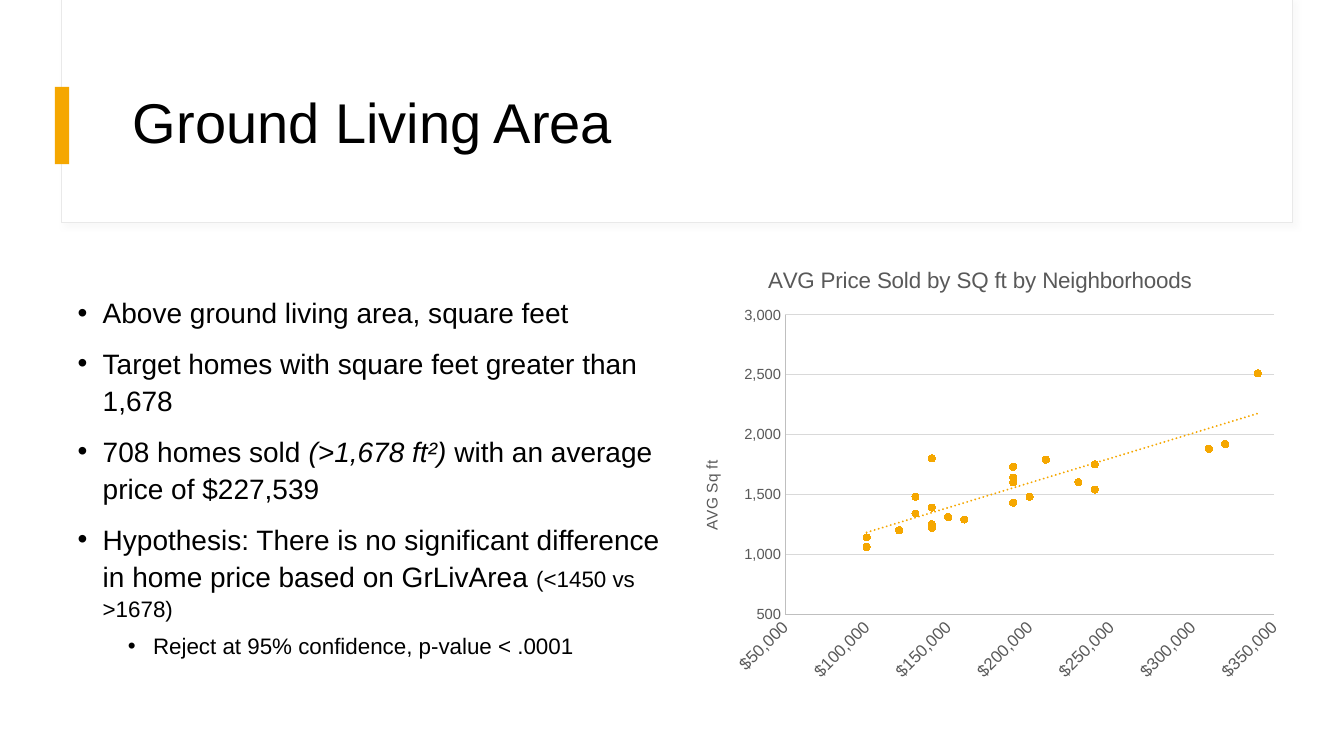
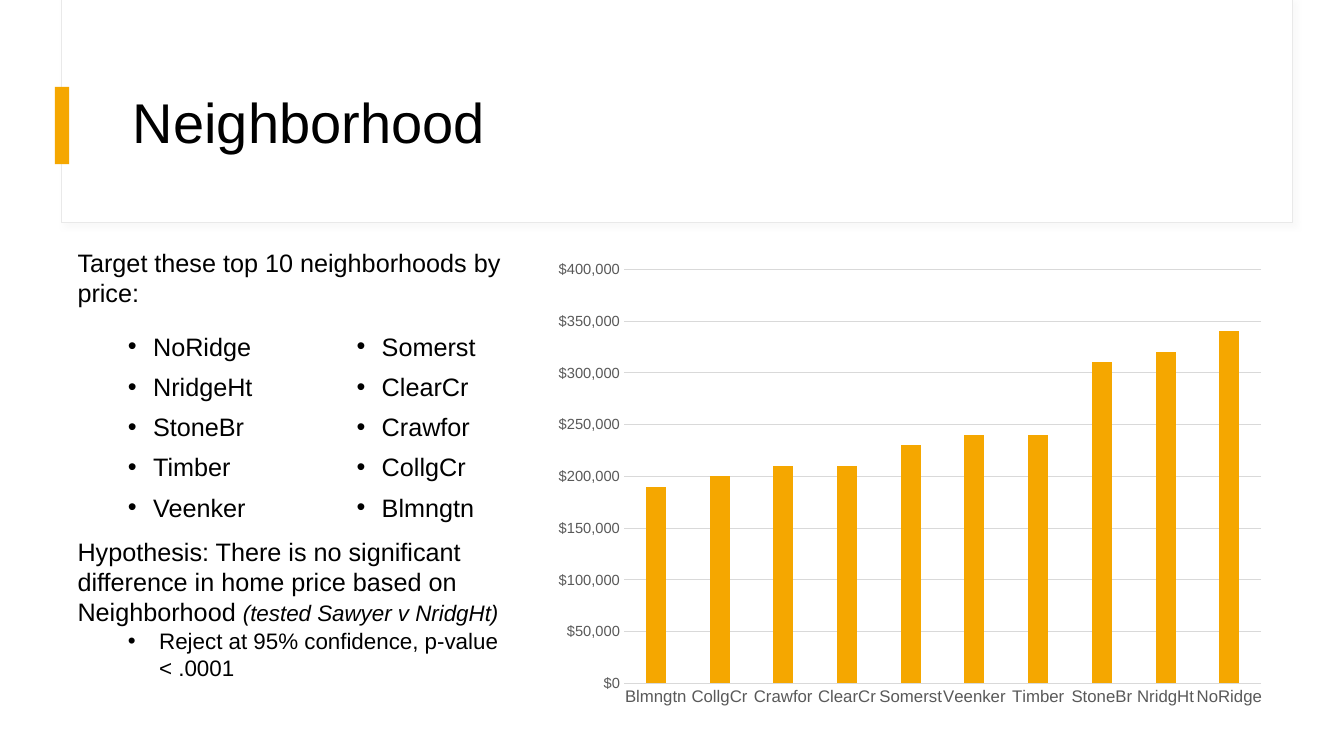
from dataclasses import dataclass

from lxml.etree import SubElement
from pptx import Presentation
from pptx.chart.data import CategoryChartData, XyChartData
from pptx.dml.color import RGBColor
from pptx.enum.chart import XL_CHART_TYPE as ChartType
from pptx.enum.chart import XL_MARKER_STYLE as MarkerStyle
from pptx.enum.chart import XL_TICK_MARK as TickMark
from pptx.enum.shapes import MSO_SHAPE as ShapeKind
from pptx.enum.text import MSO_ANCHOR as Anchor
from pptx.oxml import parse_xml
from pptx.oxml.ns import nsdecls, qn
from pptx.util import Inches, Pt

COLUMNS, ROWS = 160, 90
DOLLARS = '"$"#,##0'


@dataclass(frozen=True)
class Theme:
    font: str = "Arial"
    ink: str = "000000"
    paper: str = "FFFFFF"
    accent: str = "F5A700"
    muted: str = "595959"
    edge: str = "E9E9E9"
    grid: str = "D9D9D9"
    axis: str = "BFBFBF"
    title: float = 40
    body: float = 20
    text: float = 18
    small: float = 16
    category: float = 12
    axis_title: float = 11
    value: float = 10.5
    hairline: float = 0.75


BULLET = {"indent": 0.25, "hanging": 0.25, "format": {"line_spacing": 1.1, "space_before": Pt(10)}}
SUB_BULLET = {"indent": 0.75, "hanging": 0.25, "format": {"line_spacing": 1.1, "space_before": Pt(5)}}
TIGHT_BULLET = {"indent": 0.81, "hanging": 0.31}


def apply(target, values):
    for name, value in values.items():
        setattr(target, name, value)


def manual_layout(shares, target=""):
    sizes = "".join(f'<c:{name} val="{value}"/>' for name, value in zip("xywh", shares))
    return parse_xml(
        f'<c:layout {nsdecls("c")}><c:manualLayout>{target}<c:xMode val="edge"/>'
        f'<c:yMode val="edge"/>{sizes}</c:manualLayout></c:layout>')


class Deck:
    def __init__(self, theme):
        self.theme = theme
        self.presentation = Presentation()
        apply(self.presentation, {"slide_width": Inches(13.333), "slide_height": Inches(7.5)})
        self.slide = None

    def place(self, left, top, width, height):
        across = self.presentation.slide_width / COLUMNS
        down = self.presentation.slide_height / ROWS
        return [int(left * across), int(top * down), int(width * across), int(height * down)]

    def new_slide(self, title):
        self.slide = self.presentation.slides.add_slide(self.presentation.slide_layouts[6])
        band = self.rectangle((7.33, -0.1, 146.5, 26.6), self.theme.paper, self.theme.edge)
        self.soft_shadow(band)
        self.rectangle((6.55, 10.35, 1.7, 9.2), self.theme.accent)
        heading = [({"format": {"line_spacing": 0.9}}, [(title, {})])]
        self.text((14.65, 7.2, 133.5, 15.5), heading, self.theme.title, Anchor.MIDDLE)

    def rectangle(self, area, fill, line=None):
        shape = self.slide.shapes.add_shape(ShapeKind.RECTANGLE, *self.place(*area))
        shape.shadow.inherit = False
        shape.fill.solid()
        shape.fill.fore_color.rgb = RGBColor.from_string(fill)
        self.stroke(shape.line, line)
        return shape

    def stroke(self, line, color):
        if color is None:
            line.fill.background()
            return
        line.color.rgb = RGBColor.from_string(color)
        line.width = Pt(self.theme.hairline)

    def soft_shadow(self, shape):
        effects = shape._element.spPr.find(qn("a:effectLst"))
        shadow = SubElement(effects, qn("a:outerShdw"), blurRad=str(Pt(4)), dist=str(Pt(3)),
                            dir="2700000", algn="tl", rotWithShape="0")
        color = SubElement(shadow, qn("a:srgbClr"), val=self.theme.grid)
        SubElement(color, qn("a:alpha"), val="15000")

    def style_font(self, font, size, color, **extra):
        apply(font, {"name": self.theme.font, "size": Pt(size), "bold": False, **extra})
        font.color.rgb = RGBColor.from_string(color)

    def text(self, area, paragraphs, size, anchor=Anchor.TOP, columns=1):
        frame = self.slide.shapes.add_textbox(*self.place(*area)).text_frame
        apply(frame, {"word_wrap": True, "vertical_anchor": anchor})
        if columns > 1:
            frame._txBody.bodyPr.set("numCol", str(columns))
        for index, (style, runs) in enumerate(paragraphs):
            paragraph = frame.add_paragraph() if index else frame.paragraphs[0]
            if "indent" in style:
                self.bullet(paragraph, style)
            apply(paragraph, style.get("format", {}))
            if index == 0:
                paragraph.space_before = Pt(0)
            for words, extra in runs:
                run = paragraph.add_run()
                run.text = words
                options = {"size": size, "color": self.theme.ink, **extra}
                self.style_font(run.font, **options)

    def bullet(self, paragraph, style):
        properties = paragraph._p.get_or_add_pPr()
        properties.set("marL", str(Inches(style["indent"])))
        properties.set("indent", str(-Inches(style["hanging"])))
        SubElement(properties, qn("a:buFont"), typeface=self.theme.font)
        SubElement(properties, qn("a:buChar"), char="•")

    def chart(self, kind, area, data, plot_area):
        chart = self.slide.shapes.add_chart(kind, *self.place(*area), data).chart
        self.style_font(chart.font, 10, self.theme.ink)
        apply(chart, {"has_legend": False, "has_title": False})
        chart.plots[0].vary_by_categories = False
        plot = chart._chartSpace.find(".//" + qn("c:plotArea"))
        for old in plot.findall(qn("c:layout")):
            plot.remove(old)
        plot.insert(0, manual_layout(plot_area, '<c:layoutTarget val="inner"/>'))
        return chart

    def style_axis(self, axis, size, line, number_format, gridlines, scale, rotation=None):
        apply(axis, {"major_tick_mark": TickMark.NONE, "minor_tick_mark": TickMark.NONE,
                     "has_major_gridlines": gridlines, **scale})
        if gridlines:
            self.stroke(axis.major_gridlines.format.line, self.theme.grid)
        self.stroke(axis.format.line, line)
        self.style_font(axis.tick_labels.font, size, self.theme.muted)
        if number_format:
            apply(axis.tick_labels, {"number_format": number_format, "number_format_is_linked": False})
        if rotation is not None:
            body = axis._element.find(qn("c:txPr")).find(qn("a:bodyPr"))
            body.set("rot", str(rotation * 60000))
            body.set("vert", "horz")

    def chart_label(self, frame, words, size):
        frame.text = words
        self.style_font(frame.paragraphs[0].runs[0].font, size, self.theme.muted)

    def scatter_chart(self, area, title, value_title, points, plot_area):
        data = XyChartData()
        series_data = data.add_series("Series 1")
        for price, square_feet in points:
            series_data.add_data_point(price * 1000, square_feet)
        chart = self.chart(ChartType.XY_SCATTER, area, data, plot_area)
        chart.has_title = True
        self.chart_label(chart.chart_title.text_frame, title, self.theme.small)
        chart.chart_title.include_in_layout = False
        self.style_axis(chart.category_axis, self.theme.category, self.theme.axis, DOLLARS, False,
                        {"minimum_scale": 50000, "maximum_scale": 350000, "major_unit": 50000}, -45)
        self.style_axis(chart.value_axis, self.theme.value, self.theme.axis, "#,##0", True,
                        {"minimum_scale": 500, "maximum_scale": 3000, "major_unit": 500})
        axis_title = chart.value_axis.axis_title
        self.chart_label(axis_title.text_frame, value_title, self.theme.axis_title)
        for old in axis_title._element.findall(qn("c:layout")):
            axis_title._element.remove(old)
        axis_title._element.find(qn("c:tx")).addnext(manual_layout((0.04, 0.47)))
        series = chart.plots[0].series[0]
        series.format.line.fill.background()
        apply(series.marker, {"style": MarkerStyle.CIRCLE, "size": 5})
        series.marker.format.fill.solid()
        series.marker.format.fill.fore_color.rgb = RGBColor.from_string(self.theme.accent)
        self.stroke(series.marker.format.line, self.theme.accent)
        self.trend_line(series)

    def trend_line(self, series):
        trend = parse_xml(
            f'<c:trendline {nsdecls("c", "a")}><c:spPr><a:ln w="{Pt(1.5)}" cap="rnd"><a:solidFill>'
            f'<a:srgbClr val="{self.theme.accent}"/></a:solidFill><a:prstDash val="sysDot"/></a:ln>'
            '</c:spPr><c:trendlineType val="linear"/><c:dispRSqr val="0"/><c:dispEq val="0"/>'
            '</c:trendline>')
        series._element.find(qn("c:xVal")).addprevious(trend)

    def column_chart(self, area, prices, plot_area):
        data = CategoryChartData()
        data.categories = list(prices)
        data.add_series("Series 1", [price * 1000 for price in prices.values()])
        chart = self.chart(ChartType.COLUMN_CLUSTERED, area, data, plot_area)
        apply(chart.plots[0], {"gap_width": 219, "overlap": -27})
        fill = chart.plots[0].series[0].format.fill
        fill.solid()
        fill.fore_color.rgb = RGBColor.from_string(self.theme.accent)
        self.style_axis(chart.category_axis, self.theme.category, self.theme.grid, None, False, {}, -1000)
        self.style_axis(chart.value_axis, self.theme.value, None, DOLLARS, True,
                        {"minimum_scale": 0, "maximum_scale": 400000, "major_unit": 50000})


POINTS = [
    (190, 1430), (140, 1390), (100, 1140), (120, 1200), (210, 1790),
    (200, 1480), (210, 1790), (130, 1340), (190, 1640), (100, 1140),
    (100, 1060), (160, 1290), (150, 1310), (340, 2510), (140, 1250),
    (320, 1920), (190, 1730), (130, 1480), (140, 1220), (190, 1600),
    (230, 1600), (310, 1880), (140, 1800), (240, 1750), (240, 1540),
]
PRICES = {
    "Blmngtn": 190, "CollgCr": 200, "Crawfor": 210, "ClearCr": 210, "Somerst": 230,
    "Veenker": 240, "Timber": 240, "StoneBr": 310, "NridgHt": 320, "NoRidge": 340,
}
TOP_NEIGHBORHOODS = ["NoRidge", "NridgeHt", "StoneBr", "Timber", "Veenker",
                     "Somerst", "ClearCr", "Crawfor", "CollgCr", "Blmngtn"]
VERDICT = "Reject at 95% confidence, p-value < .0001"


def living_area_slide(deck):
    small = {"size": deck.theme.small}
    deck.new_slide("Ground Living Area")
    deck.text((8.05, 34.2, 72, 48.6), [
        (BULLET, [("Above ground living area, square feet", {})]),
        (BULLET, [("Target homes with square feet greater than 1,678", {})]),
        (BULLET, [("708 homes sold ", {}), ("(>1,678 ft²) ", {"italic": True}),
                  ("with an average price of $227,539", {})]),
        (BULLET, [("Hypothesis: There is no significant difference in home price based on GrLivArea ", {}),
                  ("(<1450 vs >1678)", small)]),
        (SUB_BULLET, [(VERDICT, small)]),
    ], deck.theme.body)
    deck.scatter_chart((80.2, 29.5, 73.7, 53.2), "AVG Price Sold by SQ ft by Neighborhoods ", "AVG Sq ft",
                       POINTS, (0.18, 0.15, 0.79, 0.67))


def neighborhood_slide(deck):
    small = {"size": deck.theme.small}
    deck.new_slide("Neighborhood")
    deck.text((8.05, 38.45, 56.8, 25.9), [(SUB_BULLET, [(name, {})]) for name in TOP_NEIGHBORHOODS],
              deck.theme.text, columns=2)
    deck.column_chart((64.7, 29.85, 87.2, 55.4), PRICES, (0.11, 0.04, 0.87, 0.89))
    deck.text((8.05, 28.8, 56.8, 8.5), [({}, [("Target these top 10 neighborhoods by price:", {})])],
              deck.theme.text)
    deck.text((8.05, 63.25, 54.1, 25.4), [
        ({}, [("Hypothesis: There is no significant difference in home price based on Neighborhood ", {}),
              ("(tested Sawyer v NridgHt)", {**small, "italic": True})]),
        (TIGHT_BULLET, [(VERDICT, small)]),
    ], deck.theme.text)


def main():
    deck = Deck(Theme())
    living_area_slide(deck)
    neighborhood_slide(deck)
    deck.presentation.save("out.pptx")


if __name__ == "__main__":
    main()
